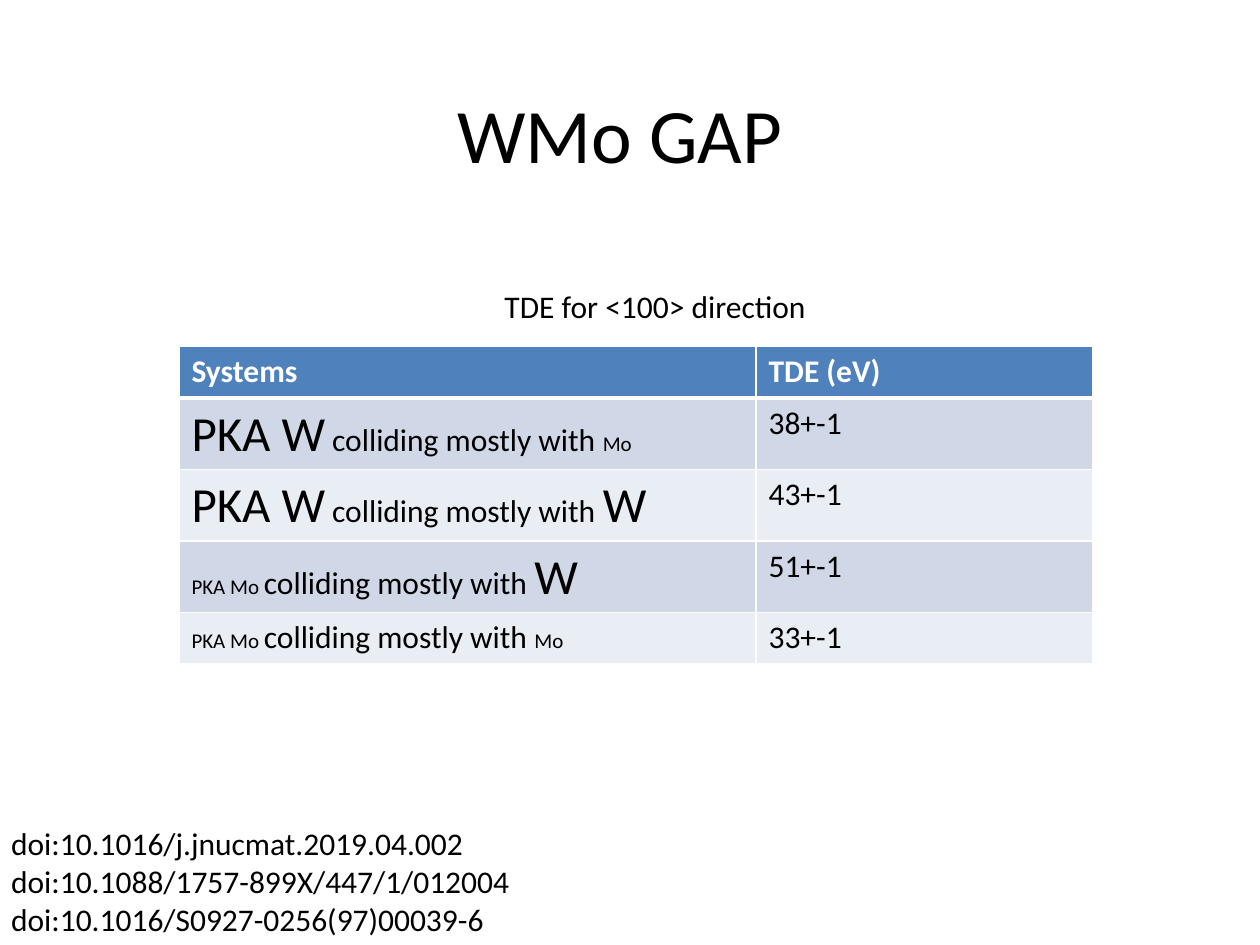
from lxml import etree
from pptx import Presentation
from pptx.dml.color import RGBColor
from pptx.enum.text import MSO_ANCHOR, PP_ALIGN
from pptx.oxml.ns import qn
from pptx.util import Inches, Pt

LEFT, CENTER = PP_ALIGN.LEFT, PP_ALIGN.CENTER
TOP, MIDDLE = MSO_ANCHOR.TOP, MSO_ANCHOR.MIDDLE
FONT = "Calibri"
BIG, BASE, SMALL = 28, 18, 12
COLORS = {
    "text": "000000",
    "white": "FFFFFF",
    "head": "4F81BD",
    "odd": "D0D8E8",
    "even": "E9EDF4",
}
ROWS = [
    ([("PKA W", BIG), (" colliding mostly with ", BASE), ("Mo", SMALL)], "38+-1"),
    ([("PKA W", BIG), (" colliding mostly with ", BASE), ("W", BIG)], "43+-1"),
    ([("PKA Mo ", SMALL), ("colliding mostly with ", BASE), ("W", BIG)], "51+-1"),
    ([("PKA Mo ", SMALL), ("colliding mostly with ", BASE), ("Mo", SMALL)], "33+-1"),
]
SOURCES = [
    "doi:10.1016/j.jnucmat.2019.04.002",
    "doi:10.1088/1757-899X/447/1/012004",
    "doi:10.1016/S0927-0256(97)00039-6",
]


def color(name):
    return RGBColor.from_string(COLORS[name])


def write(par, text, size=BASE, fill="text", bold=False, align=LEFT):
    par.alignment = align
    parts = [(text, size)] if isinstance(text, str) else text
    for words, points in parts:
        run = par.add_run()
        run.text = words
        font = run.font
        font.name, font.size, font.bold = FONT, Pt(points), bold
        font.color.rgb = color(fill)


def add_text(slide, lines, area, anchor=TOP, **style):
    box = slide.shapes.add_textbox(*map(Inches, area))
    frame = box.text_frame
    frame.word_wrap = True
    frame.vertical_anchor = anchor
    for i, line in enumerate(lines):
        par = frame.add_paragraph() if i else frame.paragraphs[0]
        write(par, line, **style)


def add_edge(cell, side, width):
    props = cell._tc.get_or_add_tcPr()
    line = etree.Element(qn("a:" + side), w=str(Pt(width)))
    fill = etree.SubElement(line, qn("a:solidFill"))
    etree.SubElement(fill, qn("a:srgbClr"), val=COLORS["white"])
    props.append(line)


def fill_cell(cell, text, fill, head=False, below=False):
    widths = {"lnL": 1, "lnR": 1, "lnT": 3 if below else 1, "lnB": 3 if head else 1}
    for side, width in widths.items():
        add_edge(cell, side, width)
    cell.fill.solid()
    cell.fill.fore_color.rgb = color(fill)
    write(cell.text_frame.paragraphs[0], text,
          fill="white" if head else "text", bold=head)


def add_grid(slide):
    data = [("Systems", "TDE (eV)")] + ROWS
    area = map(Inches, (1.42, 2.75, 7.25, 2.05))
    table = slide.shapes.add_table(len(data), 2, *area).table
    for col, width in zip(table.columns, (4.58, 2.67)):
        col.width = Inches(width)
    for r, row in enumerate(data):
        table.rows[r].height = Inches(0.41)
        fill = "head" if r == 0 else "odd" if r % 2 else "even"
        for c, text in enumerate(row):
            fill_cell(table.cell(r, c), text, fill, head=r == 0, below=r == 1)


def main():
    deck = Presentation()
    deck.slide_width, deck.slide_height = Inches(10), Inches(7.5)
    slide = deck.slides.add_slide(deck.slide_layouts[6])
    add_text(slide, ["WMo GAP"], (0.67, 0.25, 8.5, 1.61),
             anchor=MIDDLE, size=44, align=CENTER)
    add_grid(slide)
    add_text(slide, ["TDE for <100> direction"], (3.76, 2.23, 2.88, 0.4), align=CENTER)
    add_text(slide, SOURCES, (-0.01, 6.49, 10.03, 1.01))
    deck.save("out.pptx")


main()
